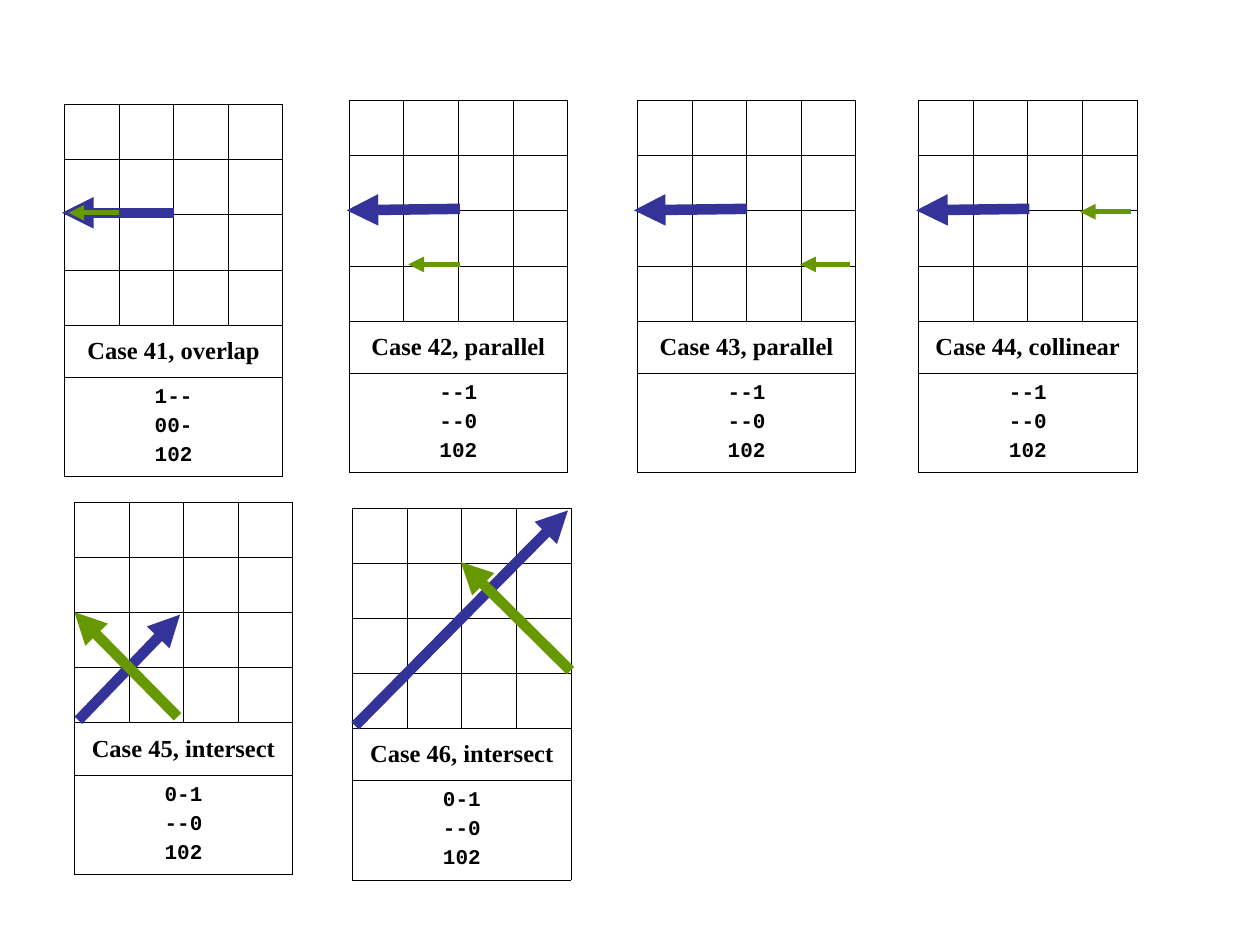
import pptx
import pptx.util
import pptx.dml.color
import pptx.enum.shapes
import pptx.enum.text
import pptx.oxml.ns
from lxml import etree

Cm, Pt = pptx.util.Cm, pptx.util.Pt
HUES = {"blue": "333399", "green": "669900", "ink": "000000"}
COLS = [1.1] * 4
ROWS = [1.11] * 4 + [1.06, 2.0]

CASES = [
    {"name": "Case 41, overlap", "code": ["1--", "00-", "102"], "at": (1.3, 2.11),
     "rays": [("blue", 6, (2.21, 2.18), (-0.05, 2.18)),
              ("green", 3, (1.09, 2.18), (0.08, 2.18))]},
    {"name": "Case 42, parallel", "code": ["--1", "--0", "102"], "at": (7.04, 2.03),
     "rays": [("blue", 6, (2.23, 2.18), (-0.05, 2.21)),
              ("green", 3, (2.23, 3.3), (1.19, 3.3))]},
    {"name": "Case 43, parallel", "code": ["--1", "--0", "102"], "at": (12.85, 2.03),
     "rays": [("blue", 6, (2.21, 2.18), (-0.07, 2.21)),
              ("green", 3, (4.29, 3.3), (3.28, 3.3))]},
    {"name": "Case 44, collinear", "code": ["--1", "--0", "102"], "at": (18.52, 2.03),
     "rays": [("blue", 6, (2.23, 2.18), (-0.05, 2.21)),
              ("green", 3, (4.27, 2.24), (3.25, 2.24))]},
    {"name": "Case 45, intersect", "code": ["0-1", "--0", "102"], "at": (1.5, 10.13),
     "rays": [("blue", 6, (0.08, 4.39), (2.13, 2.26)),
              ("green", 6, (2.08, 4.32), (0, 2.21))]},
    {"name": "Case 46, intersect", "code": ["0-1", "--0", "102"], "at": (7.11, 10.24),
     "rays": [("blue", 6, (0.05, 4.39), (4.34, 0.05)),
              ("green", 6, (4.39, 3.28), (2.18, 1.09))]},
]


def rgb(hue):
    return pptx.dml.color.RGBColor.from_string(HUES[hue])


def sub(node, tag, **attrs):
    return etree.SubElement(node, pptx.oxml.ns.qn(tag), **attrs)


def write(cell, lines, font, size, gap, hue="ink", bold=True):
    cell.vertical_anchor = pptx.enum.text.MSO_ANCHOR.MIDDLE
    frame = cell.text_frame
    for i, line in enumerate(lines):
        para = frame.add_paragraph() if i else frame.paragraphs[0]
        para.alignment = pptx.enum.text.PP_ALIGN.CENTER
        para.space_before = Pt(gap)
        run = para.add_run()
        run.text = line
        run.font.name = font
        run.font.size = Pt(size)
        run.font.bold = bold
        run.font.color.rgb = rgb(hue)


def frame_cell(cell):
    props = cell._tc.get_or_add_tcPr()
    for side in "LRTB":
        edge = sub(props, f"a:ln{side}", w=str(Pt(0.45)))
        fill = sub(edge, "a:solidFill")
        sub(fill, "a:srgbClr", val=HUES["ink"])
    cell.fill.background()


def draw_grid(slide, case):
    left, top = case["at"]
    table = slide.shapes.add_table(
        len(ROWS), len(COLS), Cm(left), Cm(top), Cm(sum(COLS)), Cm(sum(ROWS))).table
    table.first_row = table.horz_banding = False
    for col, width in zip(table.columns, COLS):
        col.width = Cm(width)
    for row, height in zip(table.rows, ROWS):
        row.height = Cm(height)
    for cell in table.iter_cells():
        frame_cell(cell)
    for row in (4, 5):
        table.cell(row, 0).merge(table.cell(row, len(COLS) - 1))
    write(table.cell(4, 0), [case["name"]], font="Times New Roman", size=14, gap=3.5)
    write(table.cell(5, 0), case["code"], font="Courier New", size=12, gap=3)


def draw_ray(slide, at, hue, width, start, end):
    ends = [Cm(base + step) for spot in (start, end) for base, step in zip(at, spot)]
    ray = slide.shapes.add_connector(pptx.enum.shapes.MSO_CONNECTOR.STRAIGHT, *ends)
    ray.line.color.rgb = rgb(hue)
    ray.line.width = Pt(width)
    sub(ray.line._get_or_add_ln(), "a:tailEnd", type="triangle")
    sub(ray._element.spPr, "a:effectLst")


def main():
    deck = pptx.Presentation()
    deck.slide_width, deck.slide_height = Cm(25.4), Cm(19.05)
    slide = deck.slides.add_slide(deck.slide_layouts[6])
    for case in CASES:
        draw_grid(slide, case)
        for ray in case["rays"]:
            draw_ray(slide, case["at"], *ray)
    deck.save("out.pptx")


if __name__ == "__main__":
    main()
